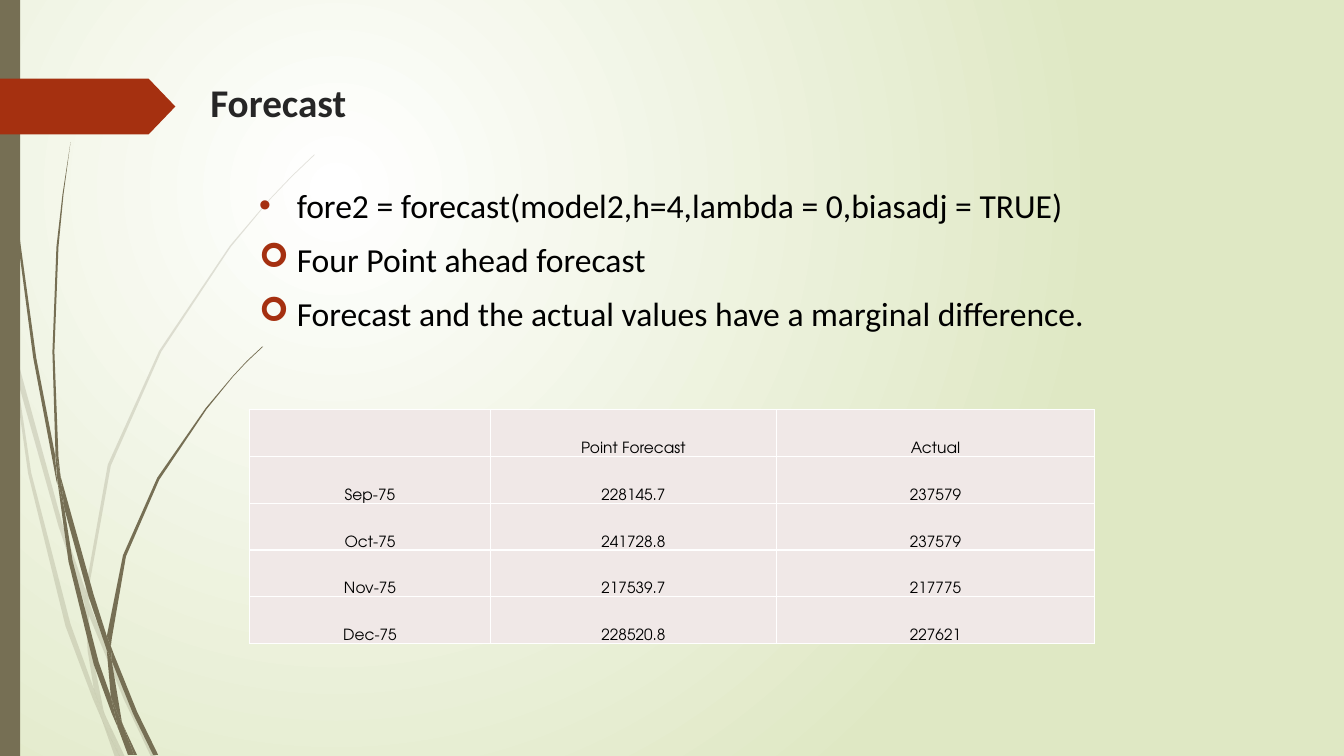
import dataclasses

import pptx
import pptx.dml.color
import pptx.enum.shapes
import pptx.enum.text
import pptx.oxml
import pptx.oxml.ns
import pptx.util

Cm = pptx.util.Cm
Pt = pptx.util.Pt
NS = pptx.oxml.ns.nsdecls("a")


@dataclasses.dataclass(frozen=True)
class Theme:
    """Colours, fonts and type sizes of the deck."""
    olive: str = "766F54"
    accent: str = "A53010"
    centre: str = "FFFFFF"
    edge: str = "DFE8C4"
    heading: str = "262626"
    ink: str = "000000"
    cell: str = "F0E8E7"
    border: str = "FFFFFF"
    text_font: str = "Calibri"
    table_font: str = "TeX Gyre Adventor"
    title_size: int = 28
    body_size: int = 24
    table_size: int = 11


def rgb(colour):
    """Turn a hex string into a colour."""
    return pptx.dml.color.RGBColor.from_string(colour)


class SlideBuilder:
    """Holds the theme and the current slide, and adds elements to it."""

    def __init__(self, slide, theme):
        """Keep the slide and its theme."""
        self.slide, self.theme = slide, theme

    def background(self):
        """Fill the background with a circular gradient."""
        fill = self.slide.background.fill
        fill.gradient()
        for stop, colour in zip(fill.gradient_stops, (self.theme.centre, self.theme.edge)):
            stop.color.rgb = rgb(colour)
        gradient = self.slide.element.find(".//" + pptx.oxml.ns.qn("a:gradFill"))
        linear = gradient.find(pptx.oxml.ns.qn("a:lin"))
        gradient.replace(linear, pptx.oxml.parse_xml(
            f'<a:path {NS} path="circle">'
            '<a:fillToRect l="50000" t="50000" r="100000" b="100000"/></a:path>'))

    def paint(self, shape, colour, opacity=100):
        """Give a shape a plain fill without line or shadow."""
        shape.shadow.inherit = False
        shape.line.fill.background()
        shape.fill.solid()
        shape.fill.fore_color.rgb = rgb(colour)
        if opacity < 100:
            tint = shape.element.spPr.find(".//" + pptx.oxml.ns.qn("a:srgbClr"))
            tint.append(pptx.oxml.parse_xml(f'<a:alpha {NS} val="{opacity * 1000}"/>'))

    def block(self, kind, left, top, width, height, colour):
        """Add a filled preset shape."""
        shape = self.slide.shapes.add_shape(kind, Cm(left), Cm(top), Cm(width), Cm(height))
        self.paint(shape, colour)
        return shape

    def blade(self, outline, opacity):
        """Add a piece of grass from its outline on the grass grid."""
        builder = self.slide.shapes.build_freeform(*outline[0], scale=Cm(GRASS_UNIT))
        builder.add_line_segments(outline[1:], close=True)
        self.paint(builder.convert_to_shape(), self.theme.olive, opacity)

    def font(self, paragraph, name, size, colour, bold=False):
        """Set the font of a whole paragraph."""
        font = paragraph.font
        font.name, font.size, font.bold = name, Pt(size), bold
        font.color.rgb = rgb(colour)

    def text_frame(self, left, top, width, height):
        """Add a wrapping text box and return its frame."""
        box = self.slide.shapes.add_textbox(Cm(left), Cm(top), Cm(width), Cm(height))
        box.text_frame.word_wrap = True
        return box.text_frame

    def title(self, text, *place):
        """Add the slide title."""
        heading = self.text_frame(*place).paragraphs[0]
        heading.text = text
        self.font(heading, self.theme.text_font, self.theme.title_size,
                  self.theme.heading, bold=True)

    def bullets(self, points, *place):
        """Add a list of (bullet, bullet font, text) points."""
        frame = self.text_frame(*place)
        for i, (mark, mark_font, text) in enumerate(points):
            point = frame.add_paragraph() if i else frame.paragraphs[0]
            point.text = text
            point.space_before = Pt(10)
            layout = point._p.get_or_add_pPr()
            layout.set("marL", str(Cm(0.95)))
            layout.set("indent", str(Cm(-0.95)))
            for part in (
                    f'<a:buClr {NS}><a:srgbClr val="{self.theme.accent}"/></a:buClr>',
                    f'<a:buFont {NS} typeface="{mark_font}"/>',
                    f'<a:buChar {NS} char="{mark}"/>'):
                layout.append(pptx.oxml.parse_xml(part))
            self.font(point, self.theme.text_font, self.theme.body_size, self.theme.ink)

    def cell(self, cell, text):
        """Style one table cell and write its text."""
        properties = cell._tc.get_or_add_tcPr()
        for side in "LRTB":
            properties.append(pptx.oxml.parse_xml(
                f'<a:ln{side} {NS} w="{Pt(1)}"><a:solidFill>'
                f'<a:srgbClr val="{self.theme.border}"/></a:solidFill></a:ln{side}>'))
        cell.fill.solid()
        cell.fill.fore_color.rgb = rgb(self.theme.cell)
        cell.margin_left = cell.margin_right = cell.margin_top = Cm(0.03)
        cell.margin_bottom = 0
        cell.vertical_anchor = pptx.enum.text.MSO_ANCHOR.BOTTOM
        entry = cell.text_frame.paragraphs[0]
        entry.text = text
        entry.alignment = pptx.enum.text.PP_ALIGN.CENTER
        self.font(entry, self.theme.table_font, self.theme.table_size, self.theme.ink)

    def table(self, rows, left, top, widths, row_height):
        """Add a table with uniform rows."""
        table = self.slide.shapes.add_table(
            len(rows), len(widths), Cm(left), Cm(top),
            Cm(sum(widths)), Cm(row_height * len(rows))).table
        table.first_row = table.horz_banding = False
        for column, width in zip(table.columns, widths):
            column.width = Cm(width)
        for r, row in enumerate(rows):
            for c, text in enumerate(row):
                self.cell(table.cell(r, c), text)


# Outlines of the grass, in steps of GRASS_UNIT centimetres
GRASS_UNIT = 0.0254
PALE_GRASS = [
    [(11, 350), (9, 322), (0, 282), (0, 299), (10, 344)],
    [(58, 522), (84, 599), (85, 586), (62, 520), (14, 345), (17, 376)],
    [(92, 607), (88, 596), (88, 610), (123, 694), (150, 751), (155, 751), (127, 692)],
    [(119, 751), (124, 751), (105, 711)],
    [(93, 683), (70, 619), (31, 469), (17, 376), (11, 350), (28, 470), (65, 621),
     (92, 693), (101, 714), (99, 707)],
    [(84, 599), (87, 646), (93, 683), (96, 692), (105, 711), (103, 706), (91, 646),
     (88, 610), (88, 608)],
    [(88, 584), (110, 462), (160, 349), (229, 245), (268, 198), (290, 175), (312, 154),
     (312, 153), (289, 175), (268, 197), (228, 244), (158, 348), (107, 461), (85, 584),
     (85, 586), (88, 596)],
    [(101, 714), (114, 751), (119, 751)],
    [(88, 608), (88, 610), (88, 596), (85, 586), (84, 599)],
    [(96, 692), (93, 683), (99, 707), (101, 714), (119, 751), (105, 711)],
]
DARK_GRASS = [
    [(7, 110), (17, 233), (33, 355), (56, 477), (57, 481), (55, 457), (55, 453),
     (36, 355), (19, 232), (8, 109), (5, 48), (4, 0), (3, 0), (4, 48)],
    [(88, 592), (106, 645), (106, 631), (93, 590), (60, 472), (64, 505)],
    [(113, 649), (110, 641), (111, 656), (132, 708), (152, 749), (157, 749), (136, 706)],
    [(110, 691), (98, 657), (72, 556), (64, 505), (57, 477), (68, 557), (93, 659),
     (111, 708), (117, 722), (116, 717)],
    [(60, 472), (58, 453), (54, 349), (58, 245), (63, 193), (70, 141), (62, 193),
     (56, 245), (52, 349), (55, 449)],
    [(133, 749), (136, 749), (122, 719)],
    [(57, 477), (64, 505), (60, 472), (55, 449), (55, 453)],
    [(111, 633), (125, 552), (158, 476), (205, 406), (231, 374), (245, 359), (261, 344),
     (260, 344), (245, 358), (231, 373), (204, 405), (156, 474), (122, 551), (106, 631),
     (110, 641)],
    [(117, 722), (127, 749), (131, 749)],
    [(106, 645), (110, 691), (116, 706), (122, 719), (121, 716), (111, 656), (109, 651)],
    [(106, 645), (109, 651), (111, 656), (110, 641), (106, 631)],
    [(116, 706), (110, 691), (116, 717), (117, 722), (130, 749), (133, 749), (122, 719)],
]
POINTS = [
    ("•", "Arial", "fore2 = forecast(model2,h=4,lambda = 0,biasadj = TRUE)"),
    ("➢", "Wingdings", "Four Point ahead forecast"),
    ("➢", "Wingdings", "Forecast and the actual values have a marginal difference."),
]
FORECASTS = [
    ("", "Point Forecast", "Actual"),
    ("Sep-75", "228145.7", "237579"),
    ("Oct-75", "241728.8", "237579"),
    ("Nov-75", "217539.7", "217775"),
    ("Dec-75", "228520.8", "227621"),
]

deck = pptx.Presentation()
deck.slide_width, deck.slide_height = Cm(33.87), Cm(19.05)
theme = Theme()
forecast = SlideBuilder(deck.slides.add_slide(deck.slide_layouts[6]), theme)
presets = pptx.enum.shapes.MSO_SHAPE

forecast.background()
for grass, opacity in ((PALE_GRASS, 20), (DARK_GRASS, 100)):
    for outline in grass:
        forecast.blade(outline, opacity)
forecast.block(presets.RECTANGLE, 0, 0, 0.51, 19.05, theme.olive)
marker = forecast.block(presets.PENTAGON, 0, 1.98, 4.42, 1.41, theme.accent)
marker.adjustments[0] = 0.48
forecast.title("Forecast", 5.05, 1.84, 24.77, 3.56)
forecast.bullets(POINTS, 6.28, 4.53, 24.77, 10.49)
forecast.table(FORECASTS, 6.28, 10.32, (6.09, 7.19, 8.03), 1.18)
deck.save("out.pptx")
